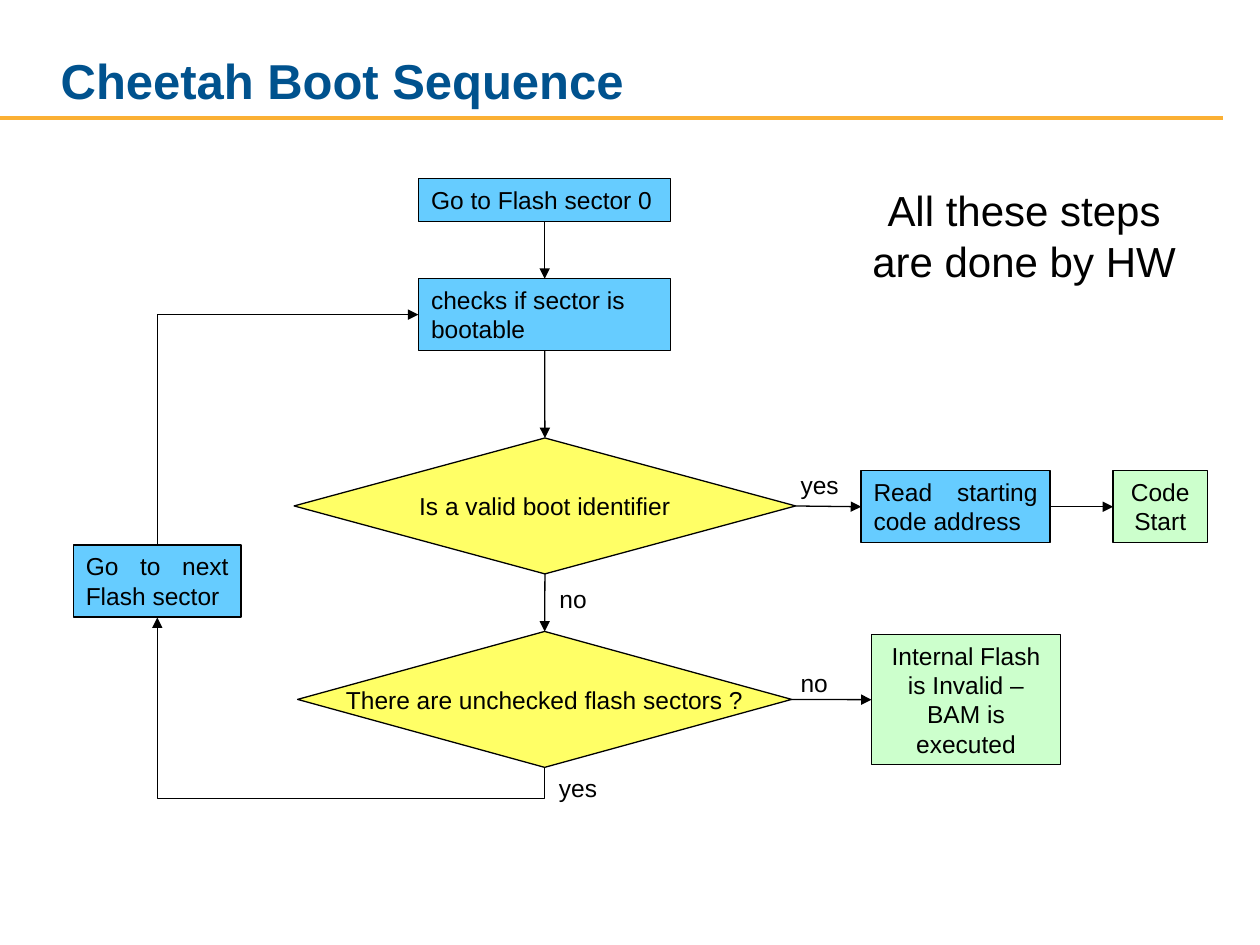
import pptx
import pptx.util
import pptx.dml.color
import pptx.enum.shapes
import pptx.enum.text
from lxml import etree

Cm, Pt = pptx.util.Cm, pptx.util.Pt
Kind = pptx.enum.shapes.MSO_SHAPE
Link = pptx.enum.shapes.MSO_CONNECTOR
Align = pptx.enum.text.PP_ALIGN
Anchor = pptx.enum.text.MSO_ANCHOR
Fit = pptx.enum.text.MSO_AUTO_SIZE
BLUE, GREEN, YELLOW = "66CCFF", "CCFFCC", "FFFF66"
NS = "http://schemas.openxmlformats.org/drawingml/2006/main"


def paint(target, color):
    if hasattr(target, "solid"):
        target.solid()
        target = target.fore_color
    target.rgb = pptx.dml.color.RGBColor.from_string(color)


def write(shape, text, align, size=14, color="000000", bold=False):
    shape.text_frame.text = text
    para = shape.text_frame.paragraphs[0]
    para.alignment = align
    para.font.name = "Arial"
    para.font.size = Pt(size)
    para.font.bold = bold
    paint(para.font.color, color)


deck = pptx.Presentation()
deck.slide_width, deck.slide_height = Cm(25.4), Cm(19.05)
slide = deck.slides.add_slide(deck.slide_layouts[5])
shapes = slide.shapes

# Title and rule
title = shapes.title
title.left, title.top, title.width, title.height = Cm(0.97), Cm(0.43), Cm(20.75), Cm(1.91)
title.text_frame.vertical_anchor = Anchor.BOTTOM
write(title, "Cheetah Boot Sequence", Align.LEFT, 28, "00528E", True)
rule = shapes.add_connector(Link.STRAIGHT, 0, Cm(2.38), Cm(24.66), Cm(2.38))
rule.line.width = Pt(2.25)
paint(rule.line.fill, "FBB034")
etree.SubElement(rule._element.spPr, f"{{{NS}}}effectLst")

# Steps and decisions
steps = [
    ("first", "Go to Flash sector 0", BLUE, Align.JUSTIFY, 8.44, 3.6, 5.08, 0.86),
    ("check", "checks if sector is bootable", BLUE, Align.LEFT, 8.44, 5.62, 5.08, 1.45),
    ("valid", "Is a valid boot identifier", YELLOW, Align.CENTER, 5.93, 8.83, 10.11, 2.74),
    ("left", "There are unchecked flash sectors ?", YELLOW, Align.CENTER, 6, 12.73, 9.96, 2.74),
    ("next", "Go to next Flash sector", BLUE, Align.JUSTIFY, 1.48, 10.99, 3.38, 1.45),
    ("read", "Read starting code address", BLUE, Align.JUSTIFY, 17.36, 9.49, 3.81, 1.45),
    ("start", "Code Start", GREEN, Align.CENTER, 22.44, 9.49, 1.9, 1.45),
    ("fail", "Internal Flash is Invalid – BAM is executed", GREEN, Align.CENTER, 17.57, 12.79, 3.81, 2.63),
]
nodes = {}
for name, text, color, align, *place in steps:
    choice = color == YELLOW
    node = shapes.add_shape(Kind.DIAMOND if choice else Kind.RECTANGLE, *map(Cm, place))
    node.shadow.inherit = False
    paint(node.fill, color)
    paint(node.line.fill, "000000")
    node.line.width = Pt(0.75)
    frame = node.text_frame
    frame.word_wrap = not choice
    frame.vertical_anchor = Anchor.MIDDLE if choice else Anchor.TOP
    frame.auto_size = Fit.NONE if choice else Fit.SHAPE_TO_FIT_TEXT
    write(node, text, align)
    nodes[name] = node

# Straight arrows, from side to side
arrows = []
for tail, out, head, into in [
    ("first", 2, "check", 0), ("check", 2, "valid", 0), ("valid", 2, "left", 0),
    ("valid", 3, "read", 1), ("read", 3, "start", 1), ("left", 3, "fail", 1),
]:
    start, end = nodes[tail], nodes[head]
    arrow = shapes.add_connector(Link.STRAIGHT, start.left, start.top, end.left, end.top)
    arrow.begin_connect(start, out)
    arrow.end_connect(end, into)
    arrows.append(arrow)

# Bent arrows of the loop, as turned and flipped frames
for preset, turn, flips, adjust, place in [
    ("bentConnector2", 90, ("flipH", "flipV"), None, (3.48, 6.04, 4.65, 5.26)),
    ("bentConnector3", 270, ("flipV",), -21000, (5.56, 10.06, 3.02, 7.8)),
]:
    left, top, width, height = map(Cm, place)
    arrow = shapes.add_connector(Link.ELBOW, left, top, left + width, top + height)
    props = arrow._element.spPr
    frame = props.find(f"{{{NS}}}xfrm")
    frame.set("rot", str(turn * 60000))
    for flip in flips:
        frame.set(flip, "1")
    shape = props.find(f"{{{NS}}}prstGeom")
    shape.set("prst", preset)
    if adjust is not None:
        guides = shape.find(f"{{{NS}}}avLst")
        etree.SubElement(guides, f"{{{NS}}}gd", name="adj1", fmla=f"val {adjust}")
    arrows.append(arrow)

for arrow in arrows:
    arrow.line.width = Pt(0.75)
    paint(arrow.line.fill, "000000")
    props = arrow._element.spPr
    etree.SubElement(props.find(f"{{{NS}}}ln"), f"{{{NS}}}tailEnd", type="triangle")
    etree.SubElement(props, f"{{{NS}}}effectLst")

# Branch labels
for text, left, top, width in [
    ("yes", 15.88, 9.35, 1.28), ("no", 11, 11.65, 1.08),
    ("no", 15.86, 13.34, 1.08), ("yes", 11.01, 15.46, 1.28),
]:
    label = shapes.add_textbox(Cm(left), Cm(top), Cm(width), Cm(0.86))
    label.text_frame.word_wrap = False
    label.text_frame.auto_size = Fit.SHAPE_TO_FIT_TEXT
    write(label, text, Align.RIGHT)

# Side note
note = shapes.add_textbox(Cm(17.15), Cm(3.6), Cm(6.99), Cm(2.29))
note.text_frame.word_wrap = True
note.text_frame.auto_size = Fit.SHAPE_TO_FIT_TEXT
write(note, "All these steps are done by HW", Align.CENTER, 24)

deck.save("out.pptx")
